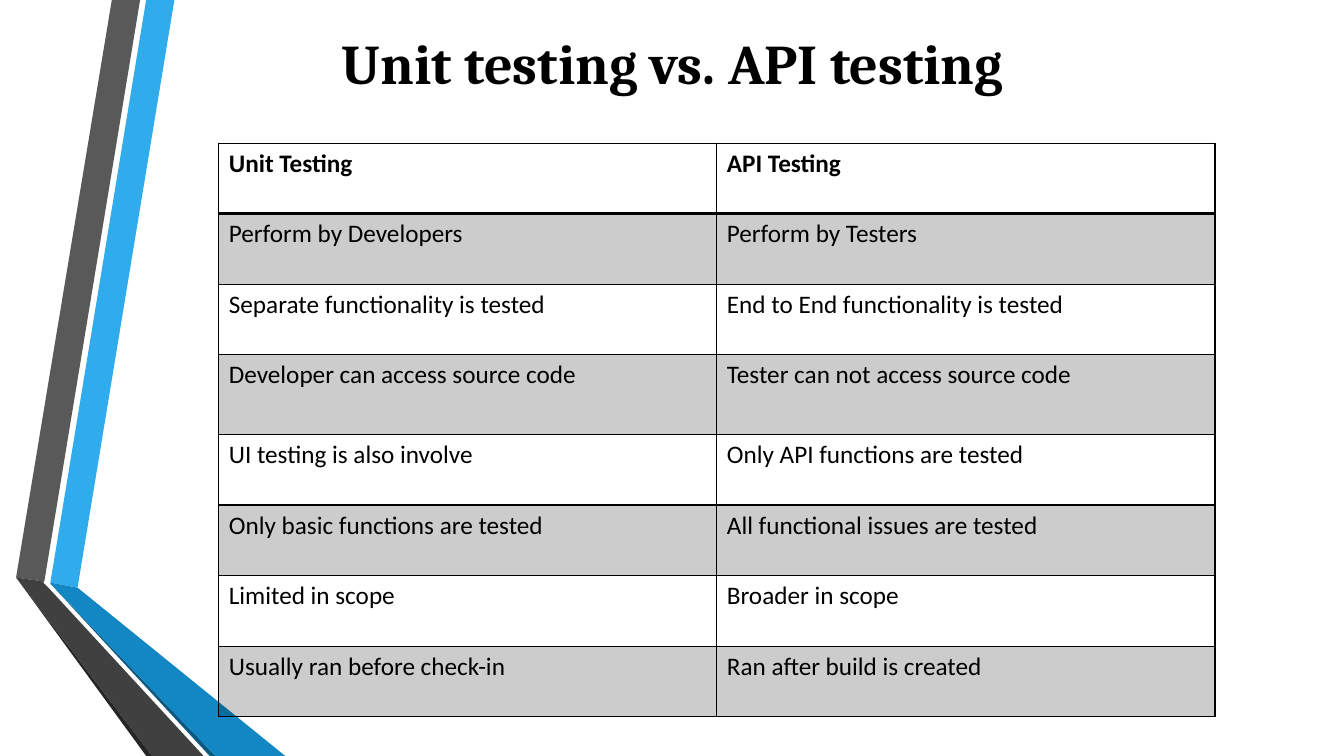
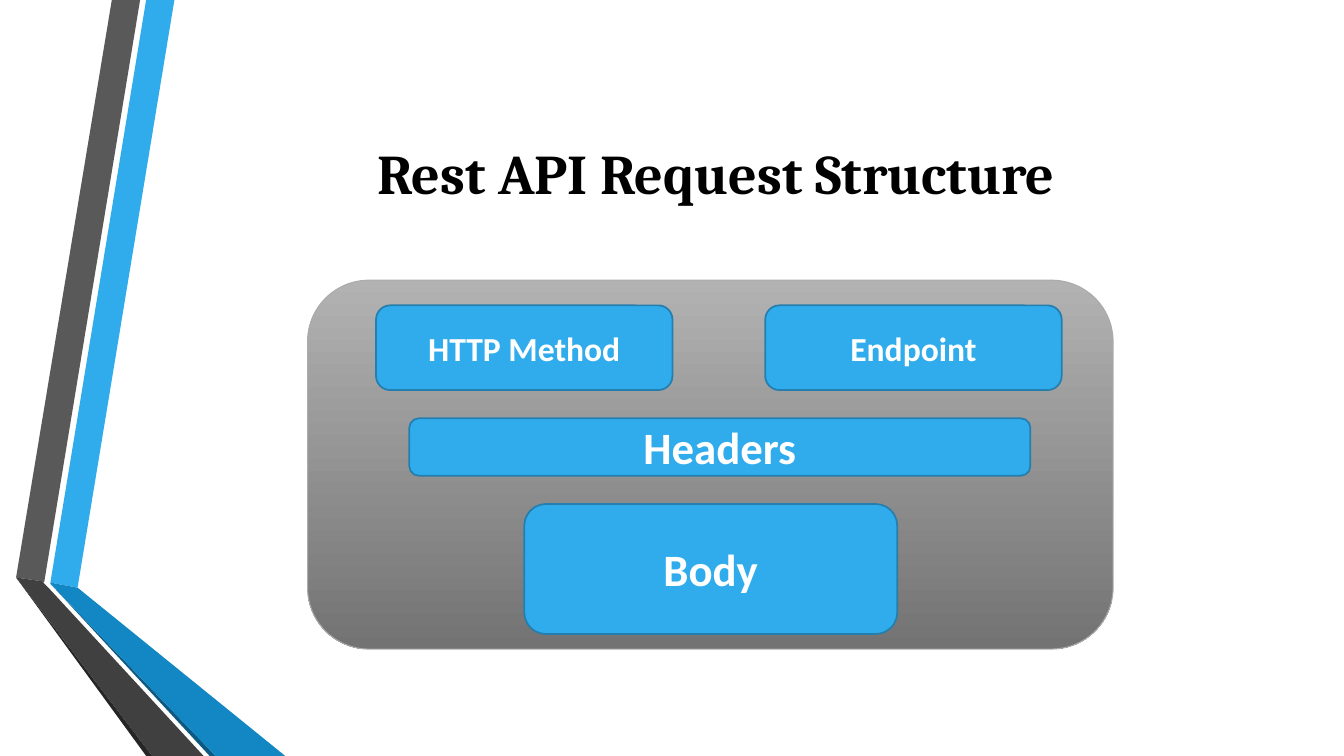
from lxml.etree import SubElement
from pptx import Presentation
from pptx.dml.color import RGBColor
from pptx.enum.shapes import MSO_SHAPE
from pptx.enum.text import MSO_ANCHOR, MSO_AUTO_SIZE, PP_ALIGN
from pptx.oxml.ns import qn
from pptx.util import Pt

PX = 9144
SLIDE_W, SLIDE_H = 1333, 750

BLACK = RGBColor(0x00, 0x00, 0x00)
WHITE = RGBColor(0xFF, 0xFF, 0xFF)
BLUE = RGBColor(0x30, 0xAC, 0xEC)
BLUE_MID = RGBColor(0x12, 0x87, 0xC3)
BLUE_DARK = RGBColor(0x0C, 0x5A, 0x82)
BLUE_LINE = RGBColor(0x24, 0x7F, 0xAF)
GREY = RGBColor(0x59, 0x59, 0x59)
GREY_DARK = RGBColor(0x40, 0x40, 0x40)
GREY_DEEP = RGBColor(0x26, 0x26, 0x26)
PANEL_TOP = RGBColor(0xB2, 0xB2, 0xB2)
PANEL_BOTTOM = RGBColor(0x73, 0x73, 0x73)
PANEL_LINE = RGBColor(0xAB, 0xAB, 0xAB)

TITLE_FONT = {"name": "Cambria", "size": Pt(40), "bold": True}
TABLE_FONT = {"name": "Calibri", "size": Pt(18)}
BLOCK_FONT = {"name": "Calibri", "bold": True}

RIBBONS = [
    (BLUE, [(50, 578), (77, 583), (173, 0), (145, 0)]),
    (GREY, [(139, 0), (111, 0), (16, 573), (44, 577)]),
    (GREY_DEEP, [(16, 573), (145, 750), (151, 750)]),
    (BLUE_DARK, [(50, 579), (208, 750), (214, 750)]),
    (BLUE_MID, [(50, 579), (214, 750), (283, 750), (77, 583), (50, 578)]),
    (GREY_DARK, [(202, 750), (48, 583), (43, 578), (44, 577), (16, 573), (151, 750)]),
]

COMPARISON = [
    ("Unit Testing", "API Testing"),
    ("Perform by Developers", "Perform by Testers"),
    ("Separate functionality is tested", "End to End functionality is tested"),
    ("Developer can access source code", "Tester can not access source code"),
    ("UI testing is also involve", "Only API functions are tested"),
    ("Only basic functions are tested", "All functional issues are tested"),
    ("Limited in scope", "Broader in scope"),
    ("Usually ran before check-in", "Ran after build is created"),
]
ROW_HEIGHTS = [70, 70, 70, 79, 70, 70, 70, 70]

REQUEST_ROWS = [
    (84, 24, [(68, 294, "HTTP Method"), (454, 294, "Endpoint")]),
    (57, 32, [(101, 616, "Headers")]),
    (129, 32, [(215, 370, "Body")]),
]


def emu(box):
    return [v * PX for v in box]


def write(tf, text, color, font, align=PP_ALIGN.LEFT):
    p = tf.paragraphs[0]
    p.alignment = align
    r = p.add_run()
    r.text = text
    r.font.color.rgb = color
    for key, value in font.items():
        setattr(r.font, key, value)


def add_ribbons(s, master):
    for i, (color, points) in enumerate(RIBBONS):
        outline = s.shapes.build_freeform(*points[0], scale=PX)
        outline.add_line_segments(points[1:], close=True)
        sp = outline.convert_to_shape()
        sp.shadow.inherit = False
        sp.fill.solid()
        sp.fill.fore_color.rgb = color
        sp.line.fill.background()
        master.shapes.element.insert(2 + i, sp.element)


def add_title(s, box, text):
    sp = s.shapes.title
    sp.left, sp.top, sp.width, sp.height = emu(box)
    tf = sp.text_frame
    format_values = {"word_wrap": True, "auto_size": MSO_AUTO_SIZE.NONE,
                     "vertical_anchor": MSO_ANCHOR.MIDDLE}
    for key, value in format_values.items():
        setattr(tf, key, value)
    write(tf, text, BLACK, TITLE_FONT, PP_ALIGN.CENTER)


def set_borders(tc_pr, widths):
    for side, width in widths.items():
        ln = SubElement(tc_pr, qn(f"a:ln{side}"), w=str(Pt(width)))
        fill = SubElement(ln, qn("a:solidFill"))
        SubElement(fill, qn("a:srgbClr"), val=str(BLACK))


def add_table(s, box, rows, heights):
    table = s.shapes.add_table(len(rows), len(rows[0]), *emu(box)).table
    table.first_row = table.horz_banding = False
    for i, (texts, height) in enumerate(zip(rows, heights)):
        table.rows[i].height = height * PX
        for j, text in enumerate(texts):
            cell = table.cell(i, j)
            tc_pr = cell._tc.get_or_add_tcPr()
            set_borders(tc_pr, {"L": 1, "R": 1, "T": 1, "B": 1 if i else 2})
            if i % 2:
                cell.fill.solid()
                cell.fill.fore_color.rgb = BLACK
                shade = tc_pr.find(qn("a:solidFill")).find(qn("a:srgbClr"))
                SubElement(shade, qn("a:alpha"), val="20000")
            else:
                cell.fill.background()
            write(cell.text_frame, text, BLACK, {**TABLE_FONT, "bold": i == 0})


def add_round_box(s, box, line_color, line_width):
    sp = s.shapes.add_shape(MSO_SHAPE.ROUNDED_RECTANGLE, *emu(box))
    sp.shadow.inherit = False
    sp.line.color.rgb = line_color
    sp.line.width = Pt(line_width)
    return sp


def add_block(s, box, text, size):
    sp = add_round_box(s, box, BLUE_LINE, 1.25)
    sp.fill.solid()
    sp.fill.fore_color.rgb = BLUE
    tf = sp.text_frame
    tf.vertical_anchor = MSO_ANCHOR.MIDDLE
    write(tf, text, WHITE, {**BLOCK_FONT, "size": Pt(size)}, PP_ALIGN.CENTER)


def add_request_panel(s, box, rows, pad=25, gap=28):
    sp = add_round_box(s, box, PANEL_LINE, 0.75)
    sp.fill.gradient()
    sp.fill.gradient_angle = 270
    for stop, color in zip(sp.fill.gradient_stops, (PANEL_TOP, PANEL_BOTTOM)):
        stop.color.rgb = color
    left, top = box[:2]
    y = top + pad
    for height, size, blocks in rows:
        for x, width, text in blocks:
            add_block(s, (left + x, y, width, height), text, size)
        y += height + gap


def comparison_slide(s):
    add_title(s, (246, 12, 842, 100), "Unit testing vs. API testing")
    add_table(s, (217, 142, 988, sum(ROW_HEIGHTS)), COMPARISON, ROW_HEIGHTS)


def request_slide(s):
    add_title(s, (162, 75, 1096, 192), "Rest API Request Structure")
    add_request_panel(s, (305, 278, 799, 366), REQUEST_ROWS)


def main():
    prs = Presentation()
    prs.slide_width, prs.slide_height = emu((SLIDE_W, SLIDE_H))
    layout = prs.slide_layouts.get_by_name("Title Only")
    for build in (comparison_slide, request_slide):
        build(prs.slides.add_slide(layout))
    add_ribbons(prs.slides[0], prs.slide_master)
    prs.save("out.pptx")


if __name__ == "__main__":
    main()
